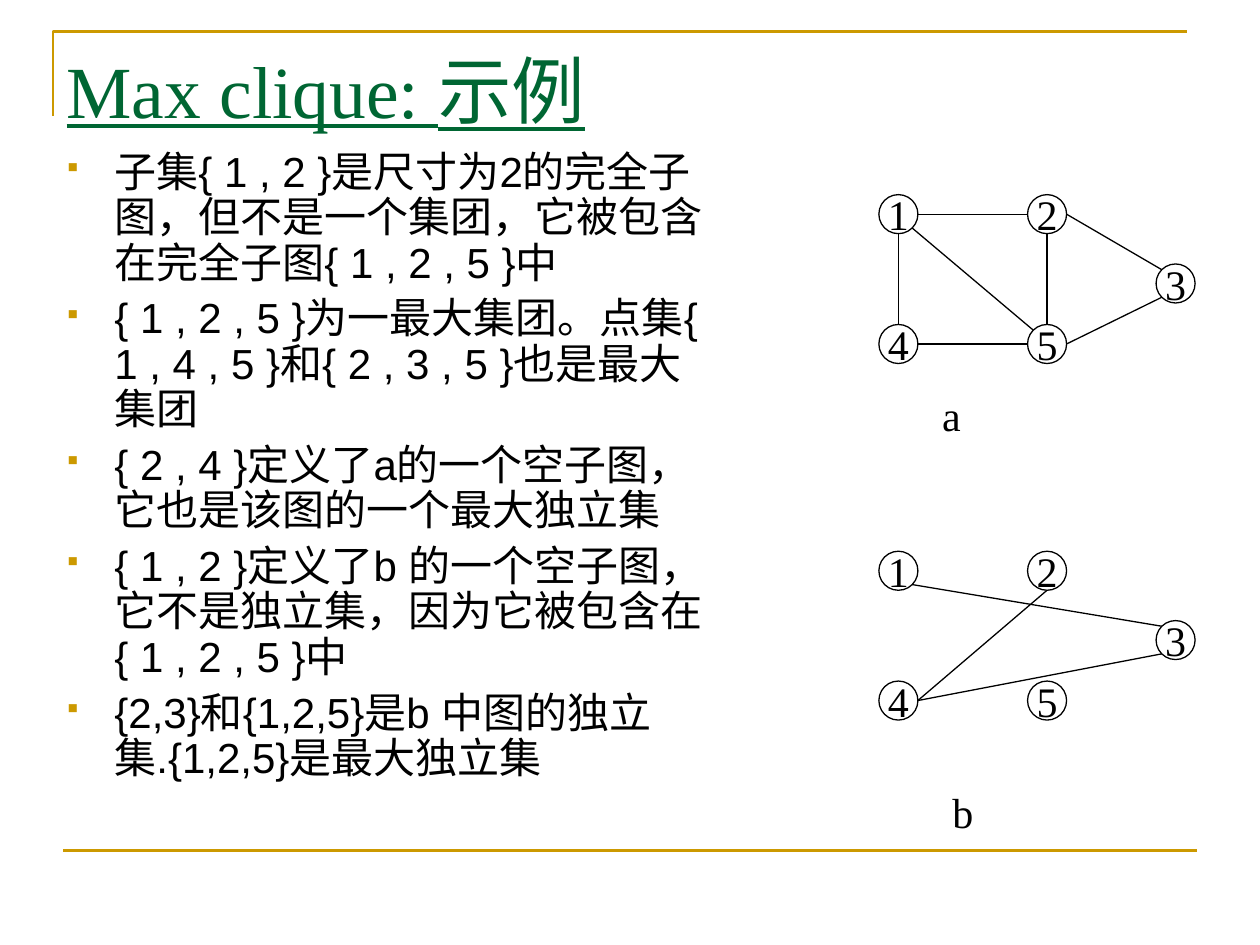
from dataclasses import dataclass
from math import sqrt

from lxml.etree import SubElement
from pptx import Presentation
from pptx.dml.color import RGBColor
from pptx.enum.shapes import MSO_CONNECTOR, MSO_SHAPE
from pptx.enum.text import MSO_ANCHOR, PP_ALIGN
from pptx.oxml.ns import qn
from pptx.util import Inches, Pt

GOLD, GREEN, BLACK = "CC9900", "006633", "000000"
SERIF, SANS = "Times New Roman", "Arial"
DIAMETER = 0.31
DIAGONAL = sqrt(0.5)
SITES = {
    "top": (0, -1), "bottom": (0, 1), "left": (-1, 0), "right": (1, 0),
    "top left": (-DIAGONAL, -DIAGONAL), "bottom right": (DIAGONAL, DIAGONAL),
    "bottom left": (-DIAGONAL, DIAGONAL),
}
NODES = {"1": (7.13, 0), "2": (8.31, 0), "3": (9.33, 0.55), "4": (7.13, 1.03), "5": (8.31, 1.03)}
BULLETS = [
    "子集{ 1 , 2 }是尺寸为2的完全子图，但不是一个集团，它被包含在完全子图{ 1 , 2 , 5 }中",
    "{ 1 , 2 , 5 }为一最大集团。点集{ 1 , 4 , 5 }和{ 2 , 3 , 5 }也是最大集团",
    "{ 2 , 4 }定义了a的一个空子图，它也是该图的一个最大独立集",
    "{ 1 , 2 }定义了b 的一个空子图，它不是独立集，因为它被包含在{ 1 , 2 , 5 }中",
    "{2,3}和{1,2,5}是b 中图的独立集.{1,2,5}是最大独立集",
]


@dataclass
class Edge:
    """A line between named sites of two nodes."""
    start: str
    start_site: str
    end: str
    end_site: str


@dataclass
class Graph:
    """A labelled graph whose first row of nodes is centred at top."""
    label: str
    label_at: tuple[float, float]
    top: float
    edges: list[Edge]


GRAPHS = [
    Graph("a", (7.38, 3.04), 1.7, [
        Edge("2", "left", "1", "right"),
        Edge("5", "top left", "1", "bottom right"),
        Edge("3", "top left", "2", "right"),
        Edge("4", "top", "1", "bottom"),
        Edge("5", "left", "4", "right"),
        Edge("5", "top", "2", "bottom"),
        Edge("3", "bottom left", "5", "right"),
    ]),
    Graph("b", (7.46, 6.19), 4.53, [
        Edge("3", "top left", "1", "bottom right"),
        Edge("2", "bottom", "4", "right"),
        Edge("3", "bottom left", "4", "right"),
    ]),
]


def colour(value: str) -> RGBColor:
    """Turn a hex string into a colour."""
    return RGBColor.from_string(value)


def apply(target, **values) -> None:
    """Set each named attribute on the target."""
    for name, value in values.items():
        setattr(target, name, value)


def write(para, text: str, size: float, face: str, ink: str, **values) -> None:
    """Fill a paragraph with one formatted span."""
    span = para.add_run()
    span.text = text
    apply(span.font, size=Pt(size), name=face, **values)
    span.font.color.rgb = colour(ink)


def outline(shape, ink: str, width: float) -> None:
    """Give a shape a solid line."""
    shape.line.color.rgb = colour(ink)
    shape.line.width = Pt(width)


def add_line(shapes, start: tuple, end: tuple, ink: str, width: float) -> None:
    """Draw a straight line without a shadow."""
    line = shapes.add_connector(MSO_CONNECTOR.STRAIGHT, *map(Inches, start + end))
    outline(line, ink, width)
    SubElement(line._element.spPr, qn("a:effectLst"))


def add_text_box(shapes, left: float, top: float, width: float, height: float):
    """Add a wrapping text box and return its frame."""
    box = shapes.add_textbox(*map(Inches, (left, top, width, height)))
    box.text_frame.word_wrap = True
    return box.text_frame


def add_bullet(para) -> None:
    """Give a paragraph a hanging gold square and keep punctuation inside the margin."""
    props = para._p.get_or_add_pPr()
    layout = {"marL": Inches(0.38), "indent": Inches(-0.38), "hangingPunct": 0}
    for name, value in layout.items():
        props.set(name, str(int(value)))
    tint = SubElement(props, qn("a:buClr"))
    SubElement(tint, qn("a:srgbClr"), val=GOLD)
    SubElement(props, qn("a:buSzPct"), val="65000")
    SubElement(props, qn("a:buFont"), typeface="Wingdings", charset="2")
    SubElement(props, qn("a:buChar"), char="§")


def add_frame(page) -> None:
    """Draw the gold corner and the bottom rule."""
    builder = page.shapes.build_freeform(Inches(0.42), Inches(0.92))
    builder.add_line_segments(
        [(Inches(0.42), Inches(0.25)), (Inches(9.42), Inches(0.25))], close=False)
    corner = builder.convert_to_shape()
    corner.shadow.inherit = False
    corner.fill.background()
    outline(corner, GOLD, 1.5)
    add_line(page.shapes, (0.5, 6.75), (9.5, 6.75), GOLD, 1.5)


def add_body(page) -> None:
    """Write the bulleted statements."""
    frame = add_text_box(page.shapes, 0.43, 1.15, 5.25, 5.9)
    for index, text in enumerate(BULLETS):
        para = frame.add_paragraph() if index else frame.paragraphs[0]
        add_bullet(para)
        apply(para, line_spacing=0.9, space_before=Pt(6 if index else 0))
        write(para, text, 24, SANS, BLACK)


def add_node(shapes, name: str, x: float, y: float) -> None:
    """Draw a numbered circle centred at a point."""
    radius = DIAMETER / 2
    node = shapes.add_shape(
        MSO_SHAPE.OVAL, *map(Inches, (x - radius, y - radius, DIAMETER, DIAMETER)))
    node.shadow.inherit = False
    node.fill.background()
    outline(node, BLACK, 0.75)
    apply(node.text_frame, word_wrap=False, vertical_anchor=MSO_ANCHOR.MIDDLE,
          margin_left=0, margin_right=0, margin_top=0, margin_bottom=0)
    para = node.text_frame.paragraphs[0]
    para.alignment = PP_ALIGN.CENTER
    write(para, name, 24, SERIF, BLACK)


def site_point(graph: Graph, node: str, site: str) -> tuple[float, float]:
    """Locate a site on the rim of a node."""
    x, y = NODES[node]
    across, down = SITES[site]
    return x + across * DIAMETER / 2, graph.top + y + down * DIAMETER / 2


def add_graph(page, graph: Graph) -> None:
    """Draw one graph as a group of nodes, edges and a label."""
    shapes = page.shapes.add_group_shape().shapes
    for name, (x, y) in NODES.items():
        add_node(shapes, name, x, graph.top + y)
    for edge in graph.edges:
        add_line(shapes, site_point(graph, edge.start, edge.start_site),
                 site_point(graph, edge.end, edge.end_site), BLACK, 0.75)
    frame = add_text_box(shapes, *graph.label_at, 1.1, 0.5)
    write(frame.paragraphs[0], graph.label, 24, SERIF, BLACK)


def main() -> None:
    """Build the slide and save it."""
    deck = Presentation()
    apply(deck, slide_width=Inches(10), slide_height=Inches(7.5))
    page = deck.slides.add_slide(deck.slide_layouts[6])
    add_frame(page)
    title = add_text_box(page.shapes, 0.43, 0.28, 9, 0.85)
    title.vertical_anchor = MSO_ANCHOR.MIDDLE
    write(title.paragraphs[0], "Max clique: 示例", 42, SERIF, GREEN, underline=True)
    add_body(page)
    for graph in GRAPHS:
        add_graph(page, graph)
    deck.save("out.pptx")


if __name__ == "__main__":
    main()
